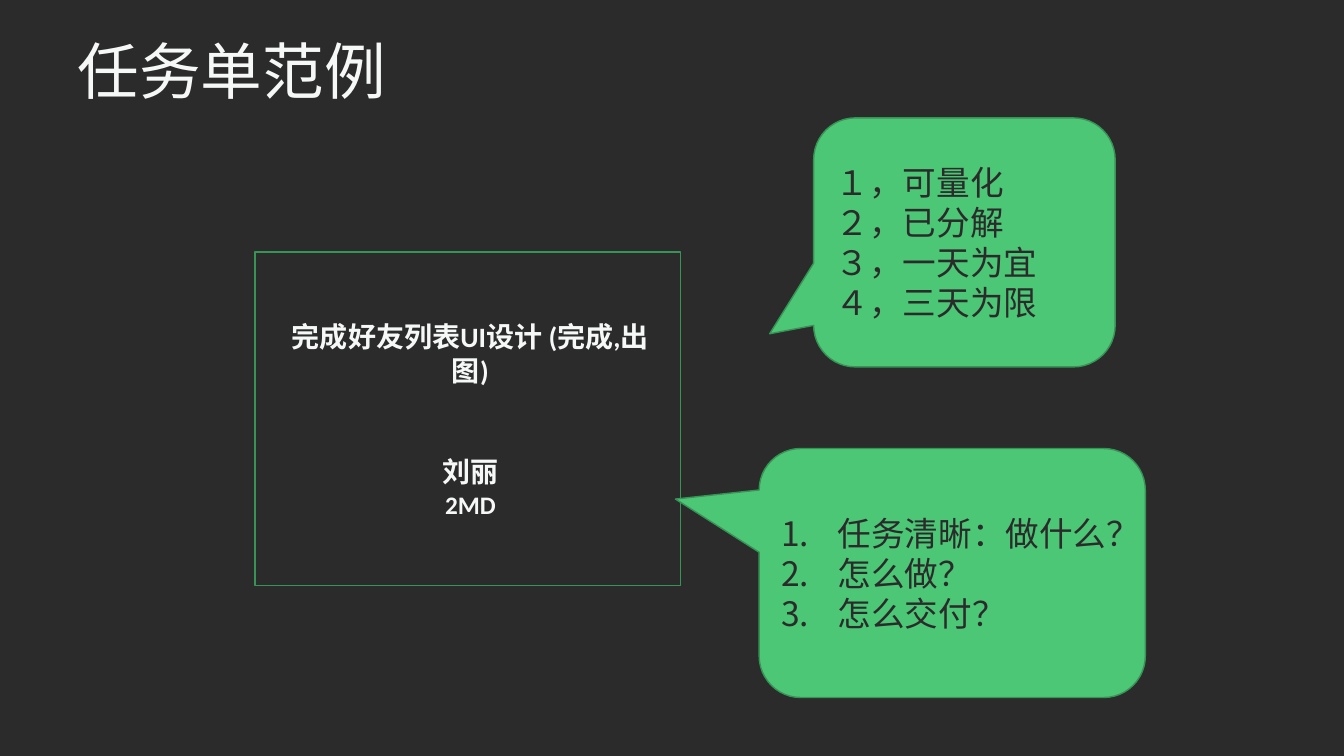
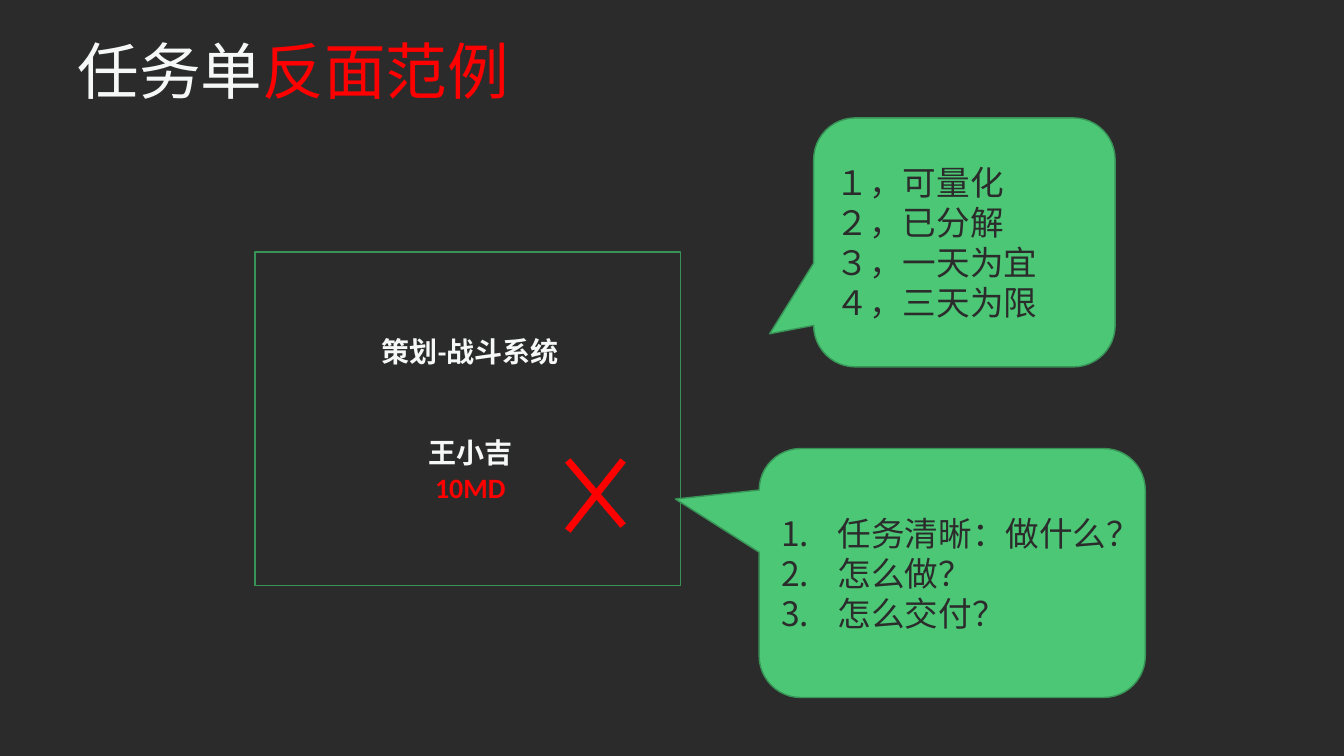
from lxml import etree
from pptx import Presentation
from pptx.dml.color import RGBColor
from pptx.enum.shapes import MSO_CONNECTOR, MSO_SHAPE
from pptx.enum.text import MSO_ANCHOR, PP_ALIGN
from pptx.oxml.ns import qn
from pptx.util import Inches, Pt

RECTANGLE = MSO_SHAPE.RECTANGLE
CALLOUT = MSO_SHAPE.ROUNDED_RECTANGULAR_CALLOUT
STRAIGHT = MSO_CONNECTOR.STRAIGHT
LEFT, CENTER = PP_ALIGN.LEFT, PP_ALIGN.CENTER
TOP, MIDDLE = MSO_ANCHOR.TOP, MSO_ANCHOR.MIDDLE

COLORS = {
    "background": "2B2B2B",
    "light": "F6F8F8",
    "green": "4CC776",
    "outline": "389357",
    "warning": "FF0000",
}
LATIN, CJK = "Calibri", "Noto Sans CJK SC"

TITLE_BOX = (0.67, 0.3, 12, 1.25)
CARD_BOX = (2.53, 2.5, 4.22, 3.31)
SIZING_BOX = (8.07, 1.17, 2.99, 2.47)
CLARITY_BOX = (7.53, 4.45, 3.83, 2.47)

SIZING_RULES = ["１，可量化", "２，已分解", "３，一天为宜", "４，三天为限"]
CLARITY_RULES = ["任务清晰：做什么？", "怎么做？", "怎么交付？"]


def rgb(name):
    return RGBColor.from_string(COLORS[name])


def style_run(run, size, color, latin=LATIN, bold=False):
    run.font.size = Pt(size)
    run.font.bold = bold
    run.font.name = latin
    run.font.color.rgb = rgb(color)
    etree.SubElement(run._r.get_or_add_rPr(), qn("a:ea"), typeface=CJK)


def add_outlined(slide, preset, box):
    shape = slide.shapes.add_shape(preset, *map(Inches, box))
    shape.shadow.inherit = False
    shape.line.color.rgb = rgb("outline")
    shape.line.width = Pt(1)
    shape.text_frame.word_wrap = True
    shape.text_frame.vertical_anchor = MIDDLE
    return shape


def set_up_template(prs):
    background = prs.slide_master.background.fill
    background.solid()
    background.fore_color.rgb = rgb("background")
    layout = prs.slide_layouts[5]
    title = layout.placeholders[0]
    title.left, title.top, title.width, title.height = map(Inches, TITLE_BOX)
    return layout


def add_title(slide, parts):
    frame = slide.shapes.title.text_frame
    frame.vertical_anchor = TOP
    paragraph = frame.paragraphs[0]
    paragraph.alignment = LEFT
    paragraph.line_spacing = Pt(51)
    for text, color in parts:
        run = paragraph.add_run()
        run.text = text
        style_run(run, 44, color)


def add_task_card(slide, box, task, owner, effort, effort_size, effort_color):
    card = add_outlined(slide, RECTANGLE, box)
    card.fill.background()
    frame = card.text_frame
    frame.margin_left, frame.margin_right = Inches(0.2), Inches(0.15)
    frame.text = "\n".join([task, owner, effort])
    styles = [(20, "light"), (20, "light"), (effort_size, effort_color)]
    for paragraph, (size, color) in zip(frame.paragraphs, styles):
        paragraph.alignment = CENTER
        paragraph.line_spacing = Pt(size * 1.22)
        style_run(paragraph.runs[0], size, color, bold=True)
    frame.paragraphs[1].space_before = Pt(48)


def add_cross(slide, box):
    left, top, width, height = box
    start, end = left + 0.735 * width, left + 0.865 * width
    upper = top + 0.625 * height
    for from_x, to_x, depth in [(end, start, 0.21), (start, end, 0.195)]:
        stroke = slide.shapes.add_connector(
            STRAIGHT, *map(Inches, (from_x, upper, to_x, upper + depth * height)))
        stroke.line.color.rgb = rgb("warning")
        stroke.line.width = Pt(5)
        etree.SubElement(stroke._element.spPr, qn("a:effectLst"))


def add_callout(slide, box, rules, tip, numbered=False):
    callout = add_outlined(slide, CALLOUT, box)
    callout.fill.solid()
    callout.fill.fore_color.rgb = rgb("green")
    for index, value in enumerate((*tip, 0.167)):
        callout.adjustments[index] = value
    frame = callout.text_frame
    frame.margin_right = 0
    frame.text = "\n".join(rules)
    for paragraph in frame.paragraphs:
        paragraph.alignment = LEFT
        paragraph.line_spacing = Pt(28.6)
        style_run(paragraph.runs[0], 24, "background", CJK)
        if numbered:
            properties = paragraph._p.get_or_add_pPr()
            properties.set("marL", str(Inches(0.56)))
            properties.set("indent", str(-Inches(0.56)))
            etree.SubElement(properties, qn("a:buAutoNum"), type="arabicPeriod")


def add_task_slide(prs, layout, title, card, rejected=False):
    slide = prs.slides.add_slide(layout)
    add_title(slide, title)
    add_task_card(slide, CARD_BOX, *card)
    if rejected:
        add_cross(slide, CARD_BOX)
    add_callout(slide, SIZING_BOX, SIZING_RULES, (-0.646, 0.367))
    add_callout(slide, CLARITY_BOX, CLARITY_RULES, (-0.717, -0.297), numbered=True)


def main():
    prs = Presentation()
    prs.slide_width, prs.slide_height = Inches(13.33), Inches(7.5)
    layout = set_up_template(prs)
    add_task_slide(
        prs, layout, [("任务单范例", "light")],
        ("完成好友列表UI设计 (完成,出图)", "刘丽", "2MD", 18, "light"))
    add_task_slide(
        prs, layout, [("任务单", "light"), ("反面范例", "warning")],
        ("策划-战斗系统", "王小吉", "10MD", 20, "warning"), rejected=True)
    prs.save("out.pptx")


if __name__ == "__main__":
    main()
